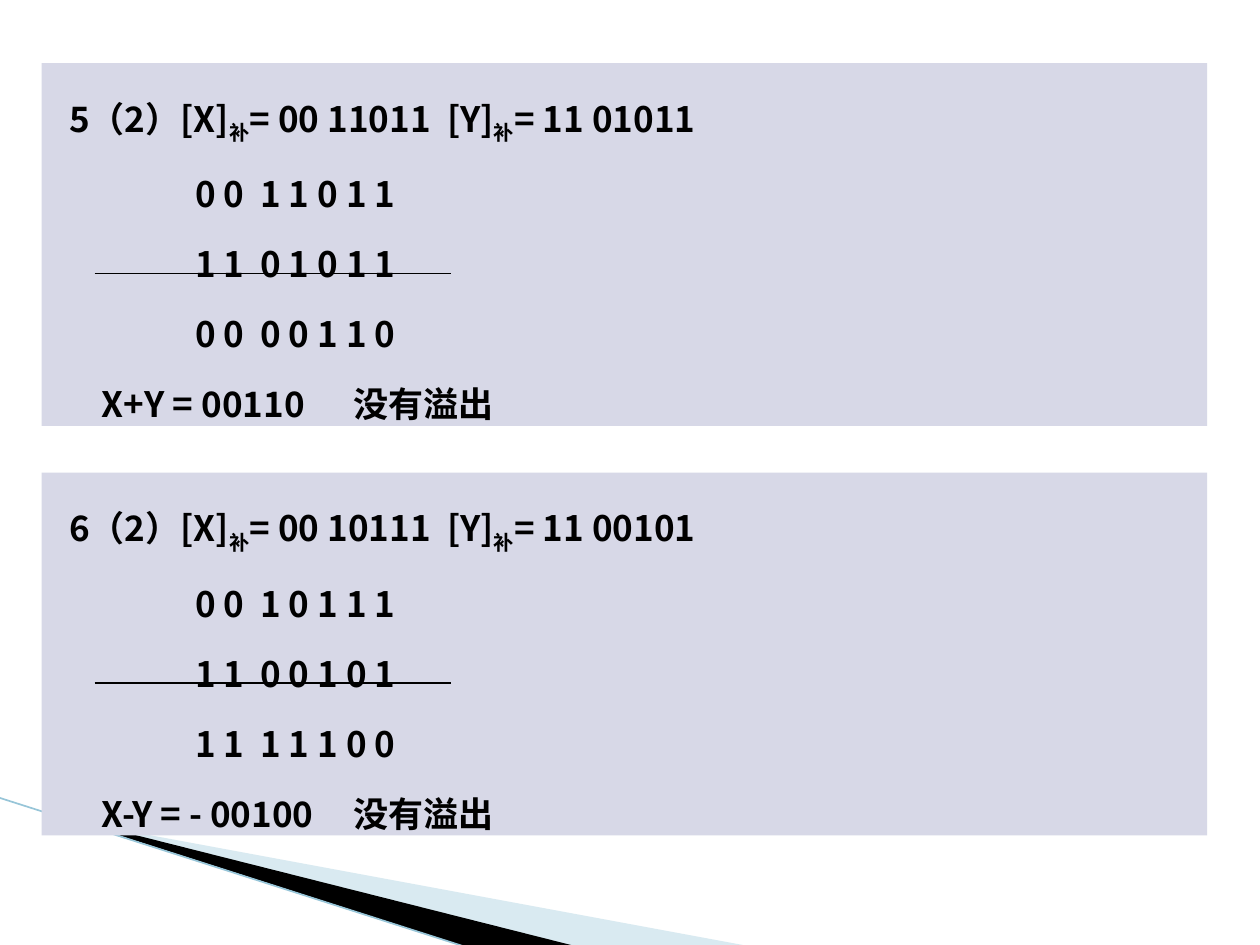
from lxml import etree
from pptx import Presentation
from pptx.dml.color import RGBColor
from pptx.enum.shapes import MSO_CONNECTOR, MSO_SHAPE
from pptx.enum.text import MSO_ANCHOR, PP_ALIGN
from pptx.oxml.ns import qn
from pptx.util import Inches, Pt

RECTANGLE = MSO_SHAPE.RECTANGLE
STRAIGHT = MSO_CONNECTOR.STRAIGHT
TOP = MSO_ANCHOR.TOP
LEFT = PP_ALIGN.LEFT
FONT = "Noto Sans CJK SC"


def color(hex_string):
    return RGBColor.from_string(hex_string)


def add_rule(start, end, hex_string, width):
    """Draw a straight line without a shadow between two points in inches."""
    rule = slide.shapes.add_connector(
        STRAIGHT, *[Inches(value) for value in (*start, *end)])
    rule.line.color.rgb = color(hex_string)
    rule.line.width = Pt(width)
    etree.SubElement(rule._element.spPr, qn("a:effectLst"))


prs = Presentation()
prs.slide_width = Inches(10)
prs.slide_height = Inches(7.5)
slide = prs.slides.add_slide(prs.slide_layouts[6])

# Corner decoration: outline, fill, opacity in percent
wedges = [
    ([(0.55, 6.51), (5.95, 7.51), (4.56, 7.51), (0.55, 6.5)], "A0CBDC", 40),
    ([(0.53, 6.49), (4.57, 7.51), (3.72, 7.52), (0.54, 6.5)], "000000", 100),
]
for outline, fill, opacity in wedges:
    points = [(Inches(x), Inches(y)) for x, y in outline]
    builder = slide.shapes.build_freeform(*points[0])
    builder.add_line_segments(points[1:], close=True)
    wedge = builder.convert_to_shape()
    wedge.shadow.inherit = False
    wedge.line.fill.background()
    wedge.fill.solid()
    wedge.fill.fore_color.rgb = color(fill)
    if opacity < 100:
        fill_color = wedge._element.spPr.find(
            qn("a:solidFill")).find(qn("a:srgbClr"))
        etree.SubElement(fill_color, qn("a:alpha"), val=str(opacity * 1000))
add_rule((-0.01, 6.33), (3.71, 7.52), "97C5D8", 0.95)

# Exercises: panel top, number, X, Y, sum rows, conclusion
exercises = [
    (3.75, "6", "00 10111", "11 00101",
     ["0 0  1 0 1 1 1", "1 1  0 0 1 0 1", "1 1  1 1 1 0 0"],
     "X-Y = - 00100\t没有溢出"),
    (0.5, "5", "00 11011", "11 01011",
     ["0 0  1 1 0 1 1", "1 1  0 1 0 1 1", "0 0  0 0 1 1 0"],
     "X+Y = 00110\t没有溢出"),
]
for top, number, x_code, y_code, sum_rows, conclusion in exercises:
    panel = slide.shapes.add_shape(
        RECTANGLE, Inches(0.33), Inches(top), Inches(9.25), Inches(2.88))
    panel.shadow.inherit = False
    panel.fill.solid()
    panel.fill.fore_color.rgb = color("D7D8E7")
    panel.line.fill.background()
    frame = panel.text_frame
    frame.word_wrap = True
    frame.vertical_anchor = TOP
    frame.margin_top = Inches(0.15)

    heading = [f"{number}（2）[X]", "补", f"= {x_code}\t[Y]", "补", f"= {y_code}"]
    lines = [(0.12, heading)]
    lines += [(1.12, [row]) for row in sum_rows]
    lines.append((0.38, [conclusion]))
    for index, (indent, parts) in enumerate(lines):
        paragraph = frame.add_paragraph() if index else frame.paragraphs[0]
        paragraph.alignment = LEFT
        paragraph.line_spacing = Pt(36)
        paragraph.space_before = Pt(4 if index else 0)
        paragraph._p.get_or_add_pPr().set("marL", str(Inches(indent)))
        for part in parts:
            run = paragraph.add_run()
            run.text = part
            run.font.name = FONT
            run.font.size = Pt(20)
            run.font.bold = True
            run.font.color.rgb = color("000000")
            properties = run._r.get_or_add_rPr()
            etree.SubElement(properties, qn("a:ea"), typeface=FONT)
            if part == "补":
                properties.set("baseline", "-25000")

    add_rule((0.75, top + 1.67), (3.58, top + 1.67), "000000", 0.75)

prs.save("out.pptx")
